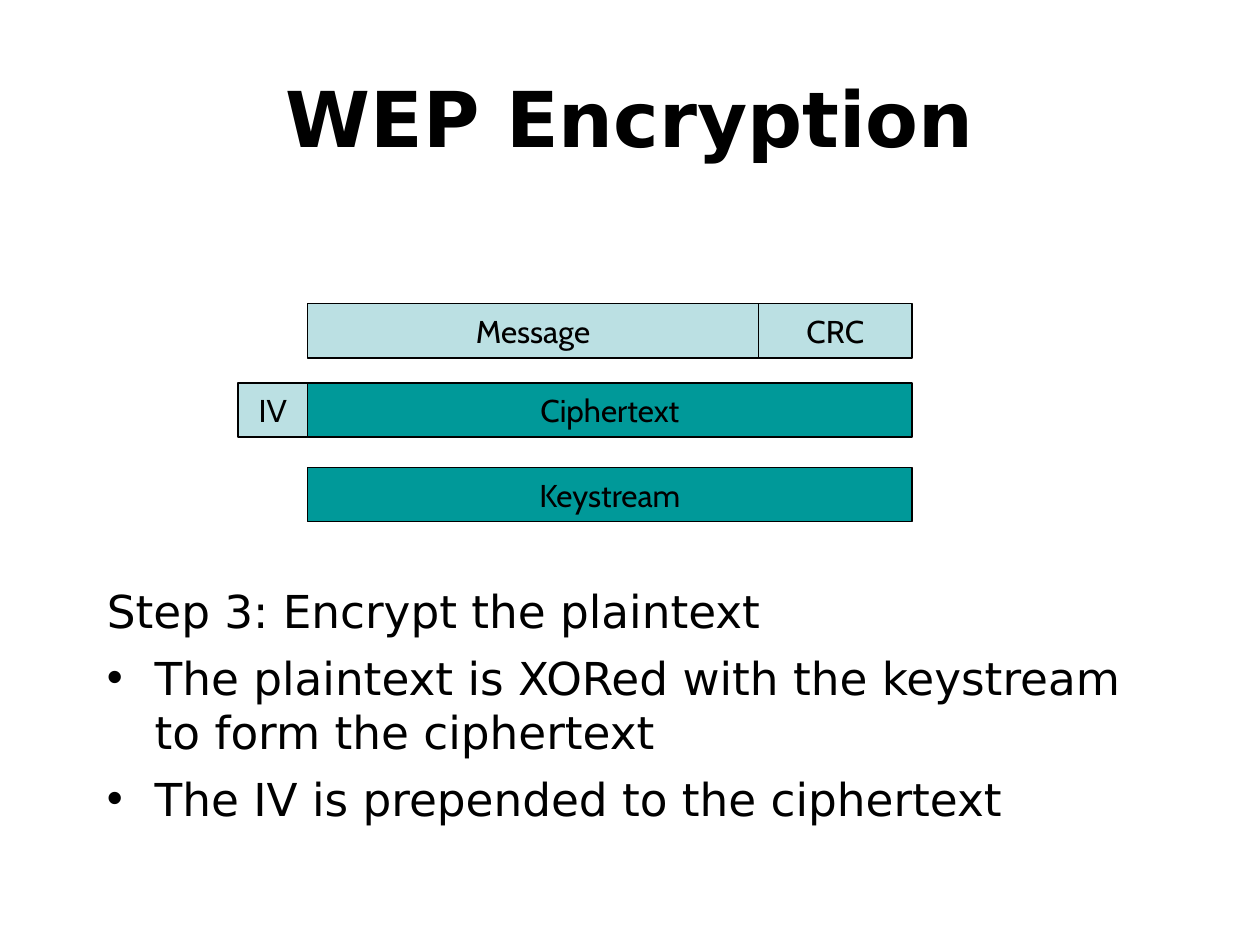
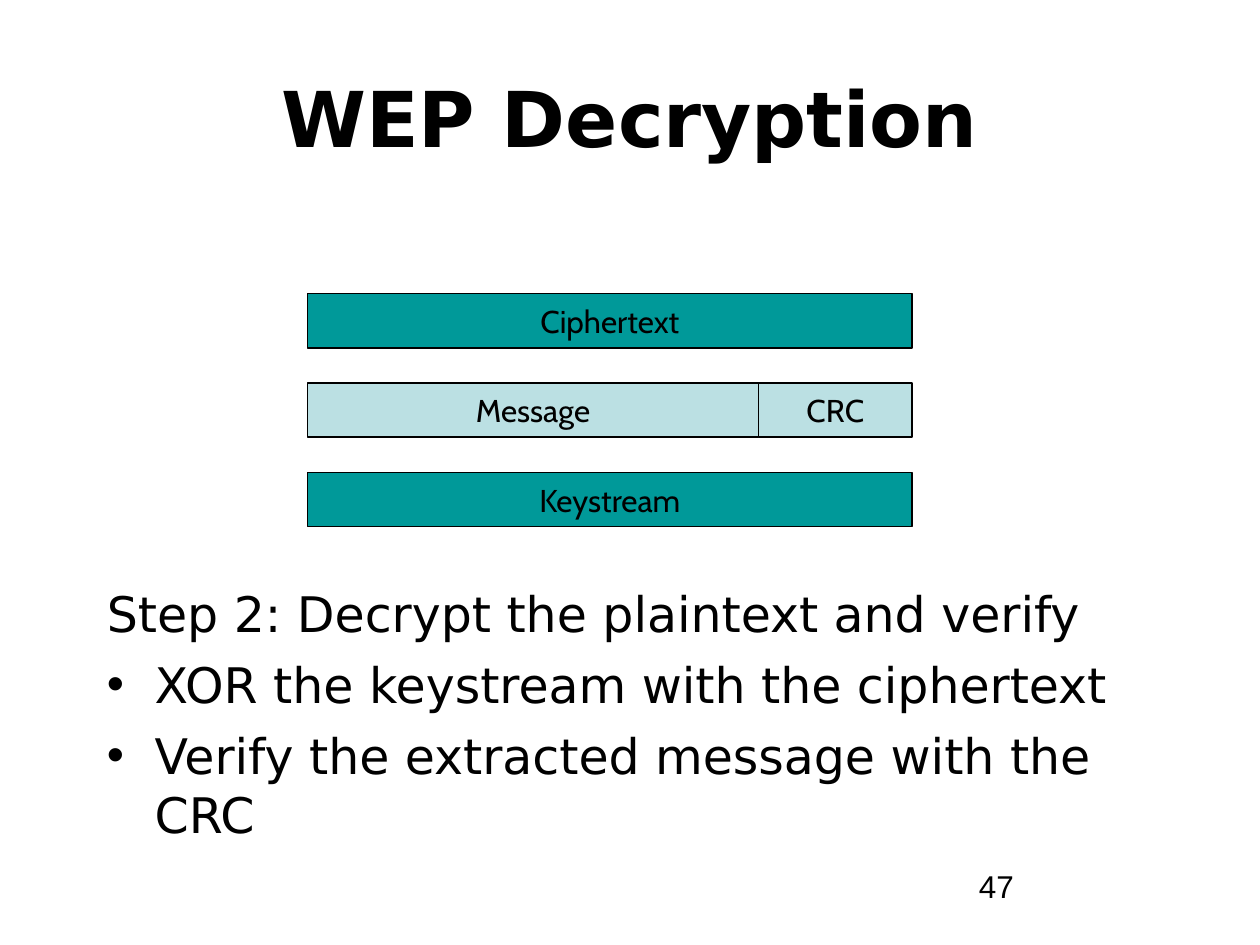
from lxml.etree import SubElement
from pptx import Presentation
from pptx.dml.color import RGBColor
from pptx.enum.shapes import MSO_SHAPE
from pptx.enum.text import MSO_ANCHOR, MSO_AUTO_SIZE, PP_ALIGN
from pptx.oxml.ns import qn
from pptx.util import Pt

PX = 9144  # 100 px to the inch
BLACK = RGBColor(0x00, 0x00, 0x00)
PALE = RGBColor(0xBB, 0xE0, 0xE3)
TEAL = RGBColor(0x00, 0x99, 0x99)
TEXT_FONT, BLOCK_FONT, NUMBER_FONT = "DejaVu Sans", "Cabin", "Arial"

# Packet blocks: left, width, fill
BLOCK_HEIGHT = 43
BLOCKS = {
    "IV": (189, 55, PALE),
    "Message": (244, 358, PALE),
    "CRC": (602, 122, PALE),
    "Ciphertext": (244, 480, TEAL),
    "Keystream": (244, 480, TEAL),
}
INDENT = 38

# Each row of blocks: top, block names
SLIDES = [
    {
        "title": "WEP Encryption",
        "rows": [(241, ["Message", "CRC"]), (304, ["IV", "Ciphertext"]), (371, ["Keystream"])],
        "step": "Step 3: Encrypt the plaintext",
        "bullets": [
            "The plaintext is XORed with the keystream to form the ciphertext",
            "The IV is prepended to the ciphertext",
        ],
        "size": 25.9,
        "number": None,
    },
    {
        "title": "WEP Decryption",
        "rows": [(233, ["Ciphertext"]), (304, ["Message", "CRC"]), (375, ["Keystream"])],
        "step": "Step 2: Decrypt the plaintext and verify",
        "bullets": [
            "XOR the keystream with the ciphertext",
            "Verify the extracted message with the CRC",
        ],
        "size": 28,
        "number": "47",
    },
]


def place(shape, left, top, width, height):
    shape.left, shape.top = left * PX, top * PX
    shape.width, shape.height = width * PX, height * PX


def add_run(paragraph, text, font_name, size, bold=False):
    run = paragraph.add_run()
    run.text = text
    run.font.name = font_name
    run.font.size = Pt(size)
    run.font.bold = bold
    run.font.color.rgb = BLACK


presentation = Presentation()
presentation.slide_width, presentation.slide_height = 1000 * PX, 750 * PX
title_only = presentation.slide_layouts[5]

for content in SLIDES:
    slide = presentation.slides.add_slide(title_only)

    # Title
    title = slide.shapes.title
    place(title, 0, 30, 1000, 125)
    title.text_frame.auto_size = MSO_AUTO_SIZE.NONE
    title.text_frame.vertical_anchor = MSO_ANCHOR.MIDDLE
    paragraph = title.text_frame.paragraphs[0]
    paragraph.alignment = PP_ALIGN.CENTER
    add_run(paragraph, content["title"], TEXT_FONT, 44, bold=True)

    # Packet diagram
    for top, names in content["rows"]:
        for name in names:
            left, width, fill = BLOCKS[name]
            block = slide.shapes.add_shape(MSO_SHAPE.RECTANGLE, 0, 0, 0, 0)
            place(block, left, top, width, BLOCK_HEIGHT)
            block.shadow.inherit = False
            block.fill.solid()
            block.fill.fore_color.rgb = fill
            block.line.color.rgb = BLACK
            block.line.width = Pt(1)
            block.text_frame.word_wrap = False
            block.text_frame.vertical_anchor = MSO_ANCHOR.MIDDLE
            paragraph = block.text_frame.paragraphs[0]
            paragraph.alignment = PP_ALIGN.CENTER
            add_run(paragraph, name, BLOCK_FONT, 18)

    # Step heading and its bullets
    body = slide.shapes.add_textbox(0, 0, 0, 0)
    place(body, 75, 458, 850, 209)
    frame = body.text_frame
    frame.word_wrap = True
    paragraph = frame.paragraphs[0]
    add_run(paragraph, content["step"], TEXT_FONT, content["size"])
    for bullet in content["bullets"]:
        paragraph = frame.add_paragraph()
        paragraph.space_before = Pt(7)
        properties = paragraph._p.get_or_add_pPr()
        properties.set("marL", str(INDENT * PX))
        properties.set("indent", str(-INDENT * PX))
        SubElement(properties, qn("a:buFont"), typeface=NUMBER_FONT)
        SubElement(properties, qn("a:buChar"), char="•")
        add_run(paragraph, bullet, TEXT_FONT, content["size"])

    # Slide number
    if content["number"]:
        number = slide.shapes.add_textbox(0, 0, 0, 0)
        place(number, 717, 683, 233, 52)
        number.text_frame.word_wrap = True
        paragraph = number.text_frame.paragraphs[0]
        paragraph._p.get_or_add_pPr().set("marL", str(50 * PX))
        add_run(paragraph, content["number"], NUMBER_FONT, 18)

presentation.save("out.pptx")
